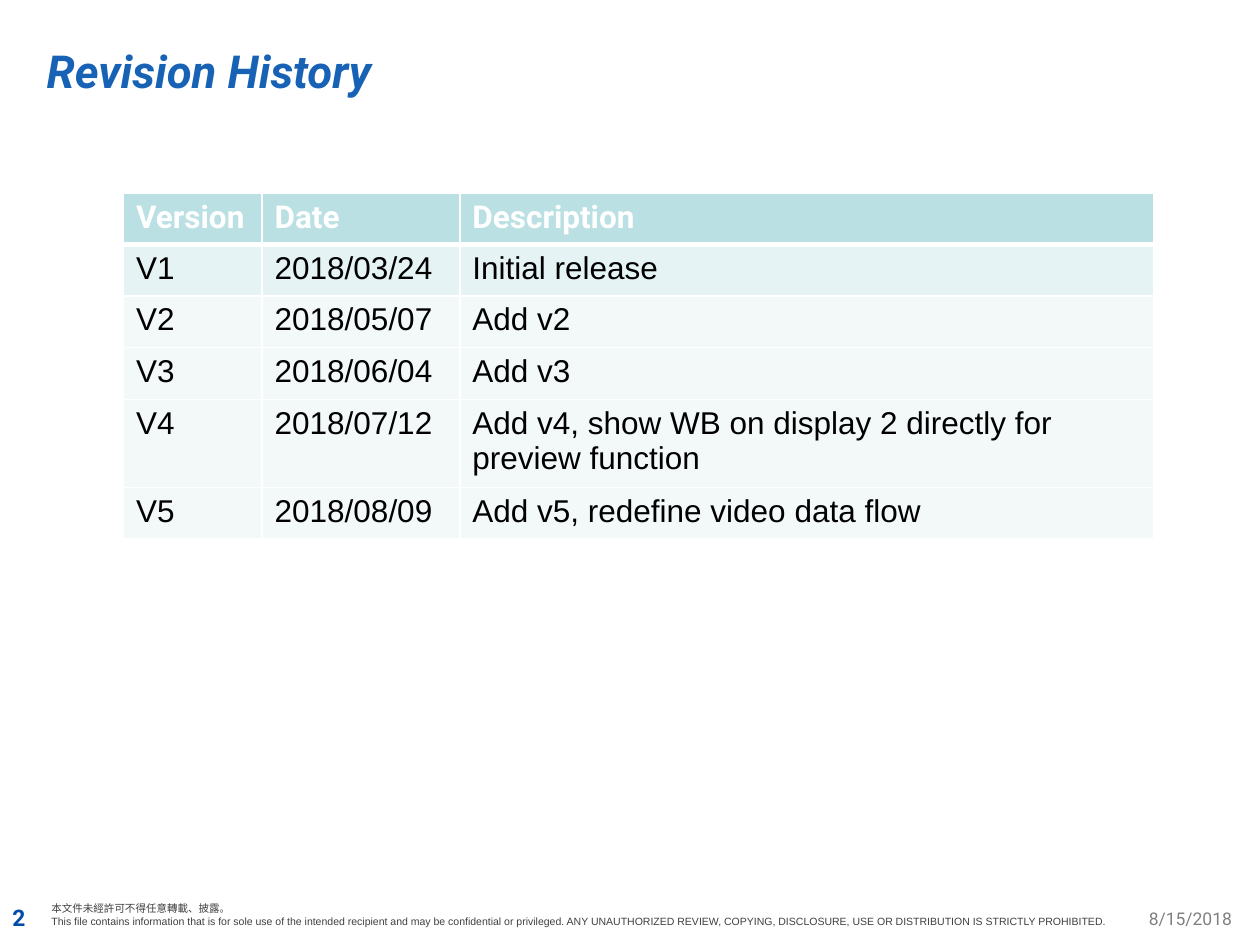
from lxml.etree import SubElement
from pptx import Presentation
from pptx.dml.color import RGBColor
from pptx.enum.text import MSO_ANCHOR, PP_ALIGN
from pptx.oxml.ns import qn
from pptx.util import Inches, Pt

COLORS = {
    "title": "1762B5",
    "page_number": "024BAA",
    "date": "808080",
    "disclaimer": "404040",
    "header": "BBE0E3",
    "first_row": "E6F3F4",
    "row": "F3F9F9",
    "white": "FFFFFF",
    "black": "000000",
}


def style(para, font_name, size, color, bold=False, italic=False):
    para.alignment = PP_ALIGN.LEFT
    font = para.font
    font.name, font.size = font_name, Pt(size)
    font.bold, font.italic = bold, italic
    font.color.rgb = RGBColor.from_string(COLORS[color])


def add_border(cell, side, width):
    line = SubElement(cell._tc.get_or_add_tcPr(), qn(f"a:{side}"), w=str(Pt(width)))
    fill = SubElement(line, qn("a:solidFill"))
    SubElement(fill, qn("a:srgbClr"), val=COLORS["white"])


deck = Presentation()
deck.slide_width, deck.slide_height = Inches(10), Inches(7.5)
page = deck.slides.add_slide(deck.slide_layouts[5])

title = page.shapes.title
title.left, title.top = Inches(0.27), Inches(0.29)
title.width, title.height = Inches(8.19), Inches(0.53)
title.text_frame.text = "Revision History"
title.text_frame.vertical_anchor = MSO_ANCHOR.MIDDLE
style(title.text_frame.paragraphs[0], "Roboto", 26, "title", bold=True, italic=True)

disclaimer = [
    "本文件未經許可不得任意轉載、披露。",
    "This file contains information that is for sole use of the intended recipient "
    "and may be confidential or privileged. ANY UNAUTHORIZED REVIEW, COPYING, "
    "DISCLOSURE, USE OR DISTRIBUTION IS STRICTLY PROHIBITED.",
]
footers = [
    (0.31, 7.11, 9.61, disclaimer, "Arial", 6, "disclaimer", False),
    (9.02, 7.16, 0.98, ["8/15/2018"], "Roboto", 10, "date", False),
    (0, 7.12, 0.7, ["2"], "Roboto", 13, "page_number", True),
]
for left, top, width, lines, font_name, size, color, bold in footers:
    box = page.shapes.add_textbox(Inches(left), Inches(top), Inches(width), Inches(0.31))
    box.text_frame.word_wrap = True
    box.text_frame.text = "\n".join(lines)
    for para in box.text_frame.paragraphs:
        style(para, font_name, size, color, bold)
        for span in para.runs:
            SubElement(span._r.get_or_add_rPr(), qn("a:ea"), typeface="Noto Sans CJK SC")

revisions = [
    ("Version", "Date", "Description"),
    ("V1", "2018/03/24", "Initial release"),
    ("V2", "2018/05/07", "Add v2"),
    ("V3", "2018/06/04", "Add v3"),
    ("V4", "2018/07/12", "Add v4, show WB on display 2 directly for preview function"),
    ("V5", "2018/08/09", "Add v5, redefine video data flow"),
]
column_widths = [1.1, 1.57, 5.51]
row_height = 0.41
table = page.shapes.add_table(
    len(revisions), len(column_widths), Inches(0.98), Inches(1.53),
    Inches(sum(column_widths)), Inches(row_height * len(revisions)),
).table
for column, width in zip(table.columns, column_widths):
    column.width = Inches(width)

for row_index, revision in enumerate(revisions):
    table.rows[row_index].height = Inches(row_height)
    fill_color = {0: "header", 1: "first_row"}.get(row_index, "row")
    for column_index, text in enumerate(revision):
        cell = table.cell(row_index, column_index)
        cell.text = text
        para = cell.text_frame.paragraphs[0]
        if row_index == 0:
            style(para, "Roboto", 18, "white", bold=True)
        else:
            style(para, "Arial", 18, "black")
        add_border(cell, "lnL", 0.96)
        add_border(cell, "lnR", 0.96)
        add_border(cell, "lnT", 3 if row_index == 1 else 0.96)
        add_border(cell, "lnB", 3 if row_index == 0 else 0.96)
        cell.fill.solid()
        cell.fill.fore_color.rgb = RGBColor.from_string(COLORS[fill_color])

deck.save("out.pptx")
